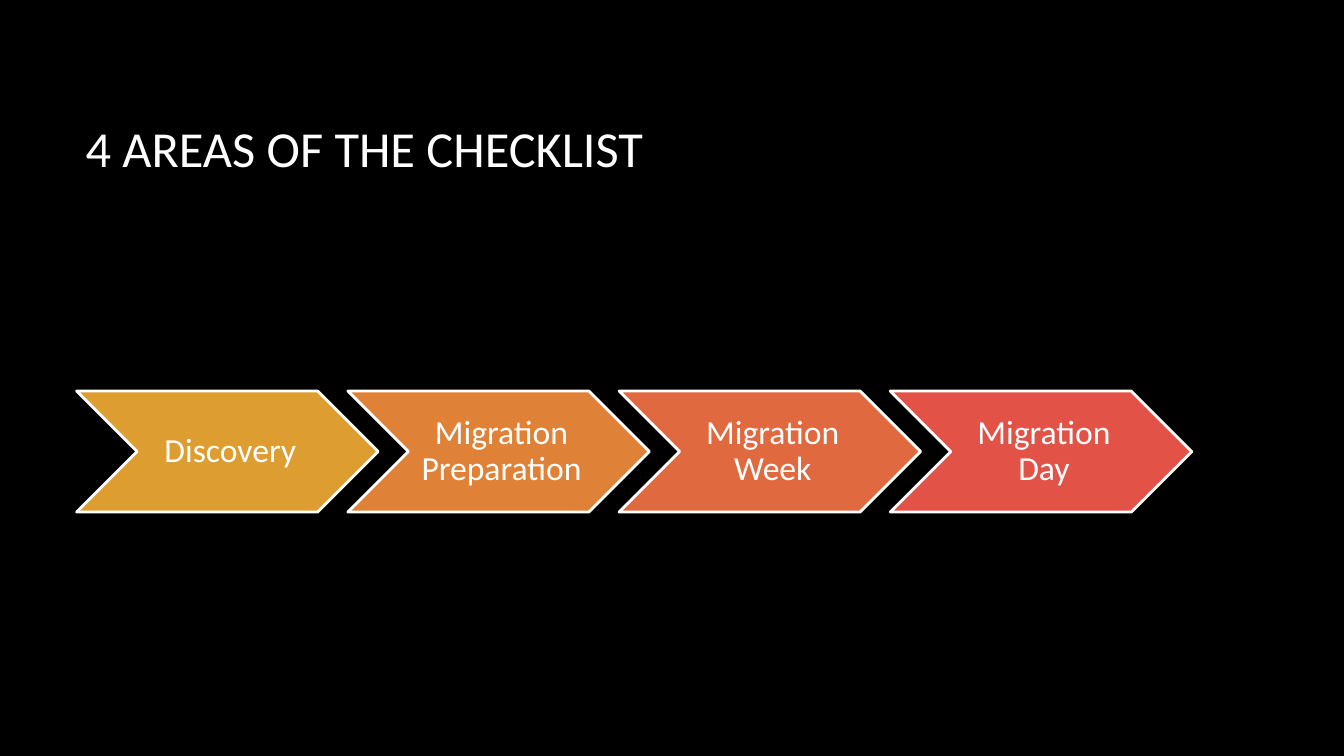
from pptx import Presentation
from pptx.dml.color import RGBColor
from pptx.enum.shapes import MSO_SHAPE
from pptx.enum.text import MSO_ANCHOR, PP_ALIGN
from pptx.util import Inches, Pt

COLORS = {
    "background": "000000",
    "white": "FFFFFF",
    "gold": "DD9D31",
    "amber": "DF8238",
    "orange": "E06940",
    "red": "E25247",
}
FONT = "Calibri"
AREAS = [
    ("Discovery", "gold"),
    ("Migration Preparation", "amber"),
    ("Migration Week", "orange"),
    ("Migration Day", "red"),
]
CHEVRON_LEFT, CHEVRON_TOP = 0.76, 3.88
CHEVRON_WIDTH, CHEVRON_HEIGHT = 2.99, 1.2
CHEVRON_STEP = 2.69


def color(name):
    return RGBColor.from_string(COLORS[name])


def write_text(shape, text, size, align=PP_ALIGN.LEFT, line_spacing=1.0,
               margins=(0.1, 0.05, 0.1, 0.05)):
    frame = shape.text_frame
    frame.word_wrap = True
    frame.vertical_anchor = MSO_ANCHOR.MIDDLE
    (frame.margin_left, frame.margin_top,
     frame.margin_right, frame.margin_bottom) = map(Inches, margins)
    paragraph = frame.paragraphs[0]
    paragraph.alignment = align
    paragraph.line_spacing = line_spacing
    run = paragraph.add_run()
    run.text = text
    run.font.name = FONT
    run.font.size = Pt(size)
    run.font.color.rgb = color("white")


def add_title(slide, text):
    box = slide.shapes.add_textbox(
        Inches(0.75), Inches(0.67), Inches(11.08), Inches(1.59))
    write_text(box, text, size=36)


def add_chevron(slide, left, text, fill):
    shape = slide.shapes.add_shape(
        MSO_SHAPE.CHEVRON, Inches(left), Inches(CHEVRON_TOP),
        Inches(CHEVRON_WIDTH), Inches(CHEVRON_HEIGHT))
    shape.shadow.inherit = False
    shape.fill.solid()
    shape.fill.fore_color.rgb = color(fill)
    shape.line.color.rgb = color("white")
    shape.line.width = Pt(2)
    write_text(shape, text, size=24, align=PP_ALIGN.CENTER, line_spacing=0.9,
               margins=(0.1, 0.04, 0.04, 0.04))


def main():
    presentation = Presentation()
    presentation.slide_width = Inches(13.33)
    presentation.slide_height = Inches(7.5)
    slide = presentation.slides.add_slide(presentation.slide_layouts[6])

    # Background and title
    slide.background.fill.solid()
    slide.background.fill.fore_color.rgb = color("background")
    add_title(slide, "4 AREAS OF THE CHECKLIST")

    # Row of checklist areas
    for index, (name, fill) in enumerate(AREAS):
        add_chevron(slide, CHEVRON_LEFT + index * CHEVRON_STEP, name, fill)

    presentation.save("out.pptx")


if __name__ == "__main__":
    main()
